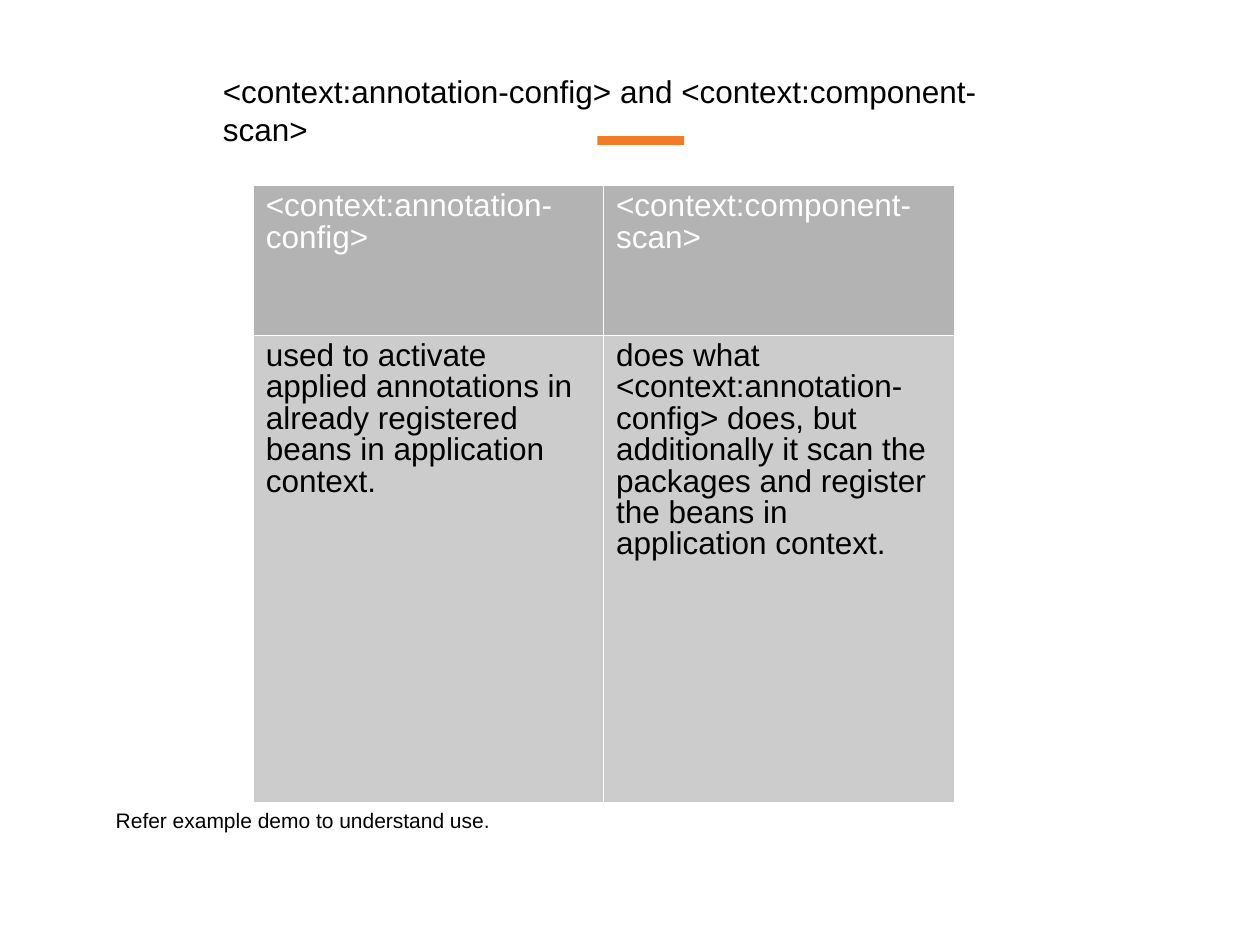
from lxml import etree
from pptx import Presentation
from pptx.dml.color import RGBColor
from pptx.enum.shapes import MSO_SHAPE
from pptx.oxml.ns import qn
from pptx.util import Inches, Pt

RECTANGLE = MSO_SHAPE.RECTANGLE
BLACK = RGBColor(0x00, 0x00, 0x00)
WHITE = RGBColor(0xFF, 0xFF, 0xFF)
ORANGE = RGBColor(0xF3, 0x7B, 0x28)
HEADER_GRAY = RGBColor(0xB3, 0xB3, 0xB3)
BODY_GRAY = RGBColor(0xCC, 0xCC, 0xCC)
FONT = "Arial"
BORDER_WIDTH = Pt(0.06)
COLUMN_WIDTH = 2.78

ROWS = [
    (1.19, HEADER_GRAY, WHITE,
     ["<context:annotation-config>", "<context:component-scan>"]),
    (3.71, BODY_GRAY, BLACK,
     ["used to activate applied annotations in already registered beans "
      "in application context.",
      "does what <context:annotation-config> does, but additionally it scan "
      "the packages and register the beans in application context."]),
]


def add_run(paragraph, text, size, color):
    run = paragraph.add_run()
    run.text = text
    run.font.name = FONT
    run.font.size = Pt(size)
    run.font.bold = False
    run.font.color.rgb = color


def add_label(slide, left, top, width, height, text, size):
    box = slide.shapes.add_textbox(
        Inches(left), Inches(top), Inches(width), Inches(height))
    box.text_frame.word_wrap = False
    add_run(box.text_frame.paragraphs[0], text, size, BLACK)


def add_accent_bar(slide, left, top, width, height):
    bar = slide.shapes.add_shape(
        RECTANGLE, Inches(left), Inches(top), Inches(width), Inches(height))
    bar.shadow.inherit = False
    bar.fill.solid()
    bar.fill.fore_color.rgb = ORANGE
    bar.line.fill.background()


def set_borders(cell, color):
    properties = cell._tc.get_or_add_tcPr()
    for side in ("a:lnL", "a:lnR", "a:lnT", "a:lnB"):
        line = etree.SubElement(properties, qn(side), w=str(BORDER_WIDTH))
        fill = etree.SubElement(line, qn("a:solidFill"))
        etree.SubElement(fill, qn("a:srgbClr"), val=str(color))


def fill_cell(cell, text, fill_color, text_color):
    set_borders(cell, WHITE)
    cell.fill.solid()
    cell.fill.fore_color.rgb = fill_color
    paragraph = cell.text_frame.paragraphs[0]
    paragraph.line_spacing = 0.89
    add_run(paragraph, text, 18, text_color)


def add_comparison_table(slide, left, top):
    column_count = len(ROWS[0][3])
    height = sum(row[0] for row in ROWS)
    table = slide.shapes.add_table(
        len(ROWS), column_count, Inches(left), Inches(top),
        Inches(COLUMN_WIDTH * column_count), Inches(height)).table
    table.first_row = False
    table.horz_banding = False
    for column in table.columns:
        column.width = Inches(COLUMN_WIDTH)
    for row, (row_height, fill_color, text_color, texts) in zip(table.rows, ROWS):
        row.height = Inches(row_height)
        for cell, text in zip(row.cells, texts):
            fill_cell(cell, text, fill_color, text_color)


def main():
    presentation = Presentation()
    presentation.slide_width = Inches(10)
    presentation.slide_height = Inches(7.5)
    slide = presentation.slides.add_slide(presentation.slide_layouts[6])
    add_accent_bar(slide, 4.74, 1.08, 0.69, 0.07)
    add_label(slide, 1.67, 0.52, 6.84, 0.51,
              "<context:annotation-config> and <context:component-scan>", 18)
    add_comparison_table(slide, 2.01, 1.47)
    add_label(slide, 0.82, 6.36, 3.28, 0.38,
              "Refer example demo to understand use.", 12)
    presentation.save("out.pptx")


if __name__ == "__main__":
    main()
